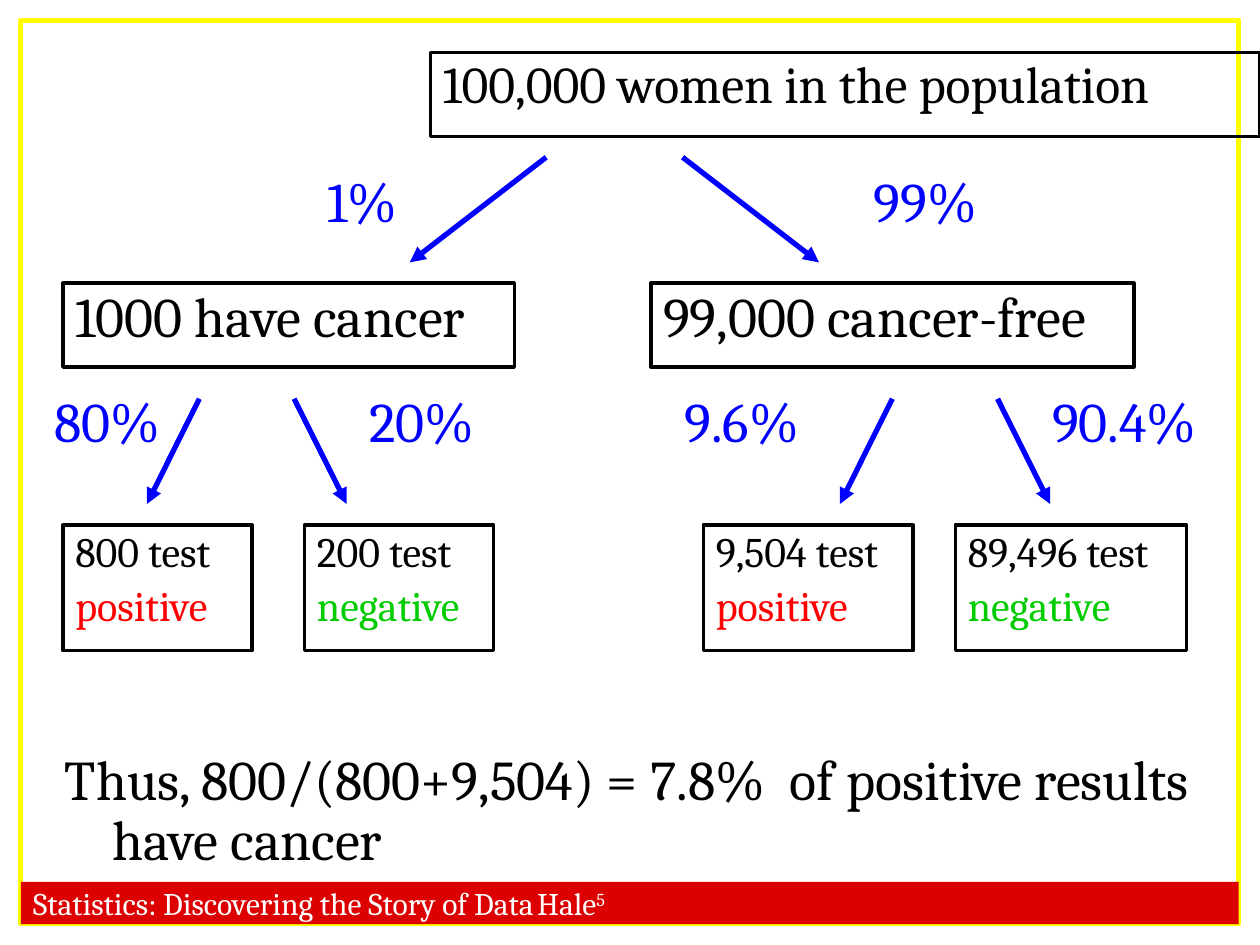
"""Build a probability tree slide for cancer test results."""
from lxml.etree import SubElement
from pptx import Presentation
from pptx.dml.color import RGBColor
from pptx.enum.shapes import MSO_CONNECTOR, MSO_SHAPE
from pptx.enum.text import MSO_ANCHOR
from pptx.oxml.ns import qn
from pptx.util import Cm, Pt

COLORS = {"ink": "000000", "branch": "0000FF", "positive": "FF0000", "negative": "00CC00",
          "frame": "FFFF00", "band": "DC0000", "paper": "FFFFFF"}
FONT = "Cambria"
GRID = 2.54 / 12

POPULATION = ("100,000 women in the population", (41, 5, 79, 8))
GROUPS = [("1000 have cancer", (6, 27, 43, 8)), ("99,000 cancer-free", (62, 27, 46, 8))]
OUTCOMES = [("800 test", "positive", 6, 18), ("200 test", "negative", 29, 18),
            ("9,504 test", "positive", 67, 20), ("89,496 test", "negative", 91, 22)]
RATES = [("1%", (30, 16, 11, 9)), ("99%", (82, 16, 15, 9)),
         ("80%", (4, 37, 15, 9)), ("20%", (34, 37, 15, 9)),
         ("9.6%", (64, 37, 19, 9)), ("90.4%", (99, 37, 18, 9))]
BRANCHES = [(15, 25, [(52, 39), (65, 78)]),
            (38, 48, [(19, 14), (28, 33), (85, 80), (95, 100)])]
CONCLUSION = ("Thus, 800/(800+9,504) = 7.8%  of positive results have cancer", (5, 71, 111, 9))
FOOTER = ("Statistics: Discovering the Story of Data\tHale", "5")


def grid(*steps):
    return [Cm(round(step * GRID, 2)) for step in steps]


def color(name):
    return RGBColor.from_string(COLORS[name])


def panel(at, fill=None, line=None, width=2):
    box = slide.shapes.add_shape(MSO_SHAPE.RECTANGLE, *grid(*at))
    box.shadow.inherit = False
    if fill:
        box.fill.solid()
        box.fill.fore_color.rgb = color(fill)
    else:
        box.fill.background()
    if line:
        box.line.color.rgb = color(line)
        box.line.width = Pt(width)
    else:
        box.line.fill.background()
    return box


def label(at):
    return slide.shapes.add_textbox(*grid(*at))


def write(holder, *lines, size=32, before=0.2, after=0, spacing=0.9, hang=0.95,
          anchor=MSO_ANCHOR.TOP):
    """Write each line as a paragraph; a line is a list of (text, colour name) runs."""
    frame = holder.text_frame
    frame.word_wrap = True
    frame.vertical_anchor = anchor
    for index, line in enumerate(lines):
        paragraph = frame.add_paragraph() if index else frame.paragraphs[0]
        paragraph.line_spacing = spacing
        paragraph.space_before = Pt(size * before)
        paragraph.space_after = Pt(after)
        properties = paragraph._p.get_or_add_pPr()
        properties.set("marL", str(Cm(hang)))
        properties.set("indent", str(-Cm(hang)))
        properties.set("algn", "l")
        for text, tone in line:
            run = paragraph.add_run()
            run.text = text
            run.font.name = FONT
            run.font.size = Pt(size)
            run.font.color.rgb = color(tone)
    return frame


def branch(start, end):
    arrow = slide.shapes.add_connector(MSO_CONNECTOR.STRAIGHT, *grid(*start, *end))
    arrow.line.color.rgb = color("branch")
    arrow.line.width = Pt(3)
    SubElement(arrow.line._get_or_add_ln(), qn("a:tailEnd"), type="triangle")
    SubElement(arrow._element.spPr, qn("a:effectLst"))


deck = Presentation()
deck.slide_width, deck.slide_height = Cm(25.4), Cm(19.05)
slide = deck.slides.add_slide(deck.slide_layouts[6])

panel((2, 2, 116, 86), line="frame", width=3)
footer = write(panel((2, 84, 116, 4), fill="band"), [(part, "paper") for part in FOOTER],
               size=18, before=0, spacing=1, hang=0, anchor=MSO_ANCHOR.MIDDLE)
credit = footer.paragraphs[0]
credit.runs[1].font._element.set("baseline", "30000")
tabs = SubElement(credit._p.get_or_add_pPr(), qn("a:tabLst"))
SubElement(tabs, qn("a:tab"), pos=str(Cm(19.86)), algn="l")

population, place = POPULATION
write(panel(place, line="ink"), [(population, "ink")], size=29.6, before=0, after=18, hang=0.76)
for group, place in GROUPS:
    write(panel(place, line="ink"), [(group, "ink")])
for count, result, left, width in OUTCOMES:
    write(panel((left, 50, width, 12), line="ink"), [(count, "ink")], [(result, result)], size=24)
for rate, place in RATES:
    write(label(place), [(rate, "branch")])
for top, bottom, spans in BRANCHES:
    for start, end in spans:
        branch((start, top), (end, bottom))
conclusion, place = CONCLUSION
write(label(place), [(conclusion, "ink")])

deck.save("out.pptx")
